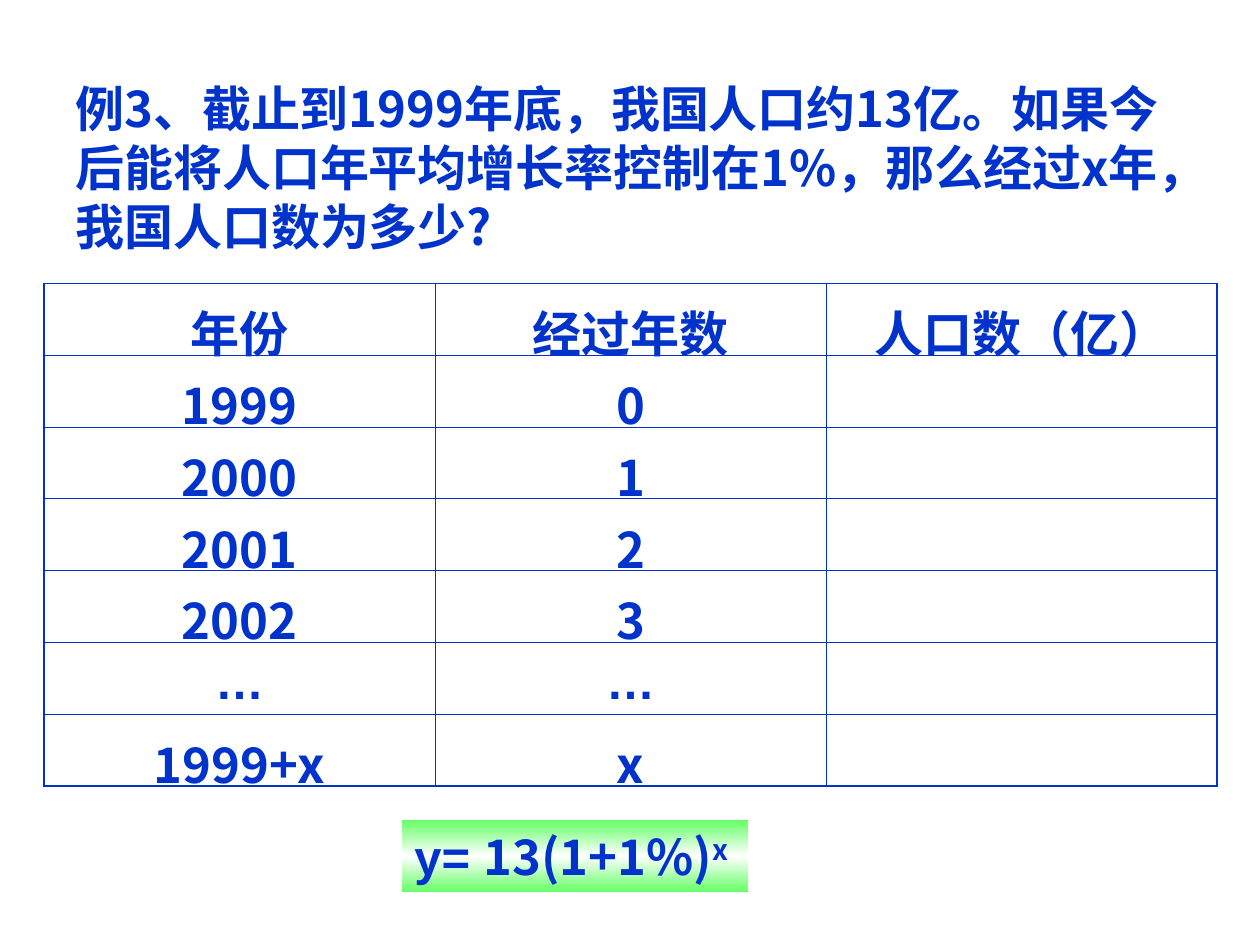
from copy import deepcopy
from dataclasses import dataclass

from lxml import etree
from pptx import Presentation
from pptx import util as u
from pptx.dml.color import RGBColor
from pptx.enum import shapes, text
from pptx.oxml.ns import qn

BLUE = RGBColor(0x00, 0x33, 0xCC)
GREEN = RGBColor(0x66, 0xFF, 0x66)
WHITE = RGBColor(0xFF, 0xFF, 0xFF)
SANS, ARIAL = "Noto Sans CJK SC", "Arial"
WIDE, HIGH = u.Inches(10), u.Inches(7.5)
THIN, THICK = 0.45, 1.08

TITLE = ("例3、截止到1999年底，我国人口约13亿。如果今后能将人口年平均增长率"
         "控制在1%，那么经过x年，我国人口数为多少?")
ROWS = [
    ("年份", "经过年数", "人口数（亿）"),
    ("1999", "0", ""),
    ("2000", "1", ""),
    ("2001", "2", ""),
    ("2002", "3", ""),
    ("…", "…", ""),
    ("1999+x", "x", ""),
]


@dataclass(frozen=True)
class Box:
    """A place given as shares of the slide's size."""
    x: float
    y: float
    w: float
    h: float

    def area(self) -> tuple[int, int, int, int]:
        return (round(self.x * WIDE), round(self.y * HIGH),
                round(self.w * WIDE), round(self.h * HIGH))


TOP = Box(0.05, 0.077, 0.892, 0.2)
GRID = Box(0.035, 0.3, 0.931, 0.532)
RULE = Box(0.319, 0.868, 0.275, 0.076)


def style(para, name: str = SANS) -> None:
    font = para.font
    font.name, font.size, font.bold = name, u.Pt(28), True
    font.color.rgb = BLUE
    east = etree.SubElement(font._element, qn("a:ea"))
    east.set("typeface", name)


def edge(cell, sides: dict[str, float]) -> None:
    """Draw the cell's borders; sides gives points in schema order."""
    props = cell._tc.get_or_add_tcPr()
    for spot, (side, width) in enumerate(sides.items()):
        line = etree.Element(qn(f"a:ln{side}"), w=str(u.Pt(width)))
        fill = etree.SubElement(line, qn("a:solidFill"))
        etree.SubElement(fill, qn("a:srgbClr"), val=str(BLUE))
        props.insert(spot, line)


def add_title(slide) -> None:
    frame = slide.shapes.add_textbox(*TOP.area()).text_frame
    frame.word_wrap = True
    frame.text = TITLE
    style(frame.paragraphs[0])


def add_grid(slide) -> None:
    rows, cols = len(ROWS), len(ROWS[0])
    table = slide.shapes.add_table(rows, cols, *GRID.area()).table
    table.first_row = table.horz_banding = False
    for r, row in enumerate(ROWS):
        for c, word in enumerate(row):
            cell = table.cell(r, c)
            cell.fill.background()
            cell.margin_top, cell.margin_bottom = u.Inches(0.1), 0
            edge(cell, {
                "L": THICK if c == 0 else THIN,
                "R": THICK if c == cols - 1 else THIN,
                "T": THICK if r == 0 else THIN,
                "B": THICK if r == rows - 1 else THIN,
            })
            if word:
                cell.text = word
                para = cell.text_frame.paragraphs[0]
                para.alignment = text.PP_ALIGN.CENTER
                style(para, ARIAL if word == "…" else SANS)


def add_rule(slide) -> None:
    shape = slide.shapes.add_shape(shapes.MSO_SHAPE.RECTANGLE, *RULE.area())
    shape.shadow.inherit = False
    shape.line.fill.background()
    fill = shape.fill
    fill.gradient()
    fill.gradient_angle = 90
    first = fill.gradient_stops[0]._gs
    first.addnext(deepcopy(first))
    for stop, place, tint in zip(fill.gradient_stops, (0, 0.5, 1),
                                 (GREEN, WHITE, GREEN)):
        stop.position = place
        stop.color.rgb = tint

    frame = shape.text_frame
    frame.word_wrap = False
    frame.vertical_anchor = text.MSO_ANCHOR.TOP
    para = frame.paragraphs[0]
    para.alignment = text.PP_ALIGN.LEFT
    style(para)
    for word in ("y= ", "13(1+1%)", "x"):
        para.add_run().text = word
    head, _, power = para.runs
    head.font.name = ARIAL
    power.font._element.set("baseline", "30000")


def main() -> None:
    deck = Presentation()
    deck.slide_width, deck.slide_height = WIDE, HIGH
    slide = deck.slides.add_slide(deck.slide_layouts[6])
    add_title(slide)
    add_grid(slide)
    add_rule(slide)
    deck.save("out.pptx")


if __name__ == "__main__":
    main()
